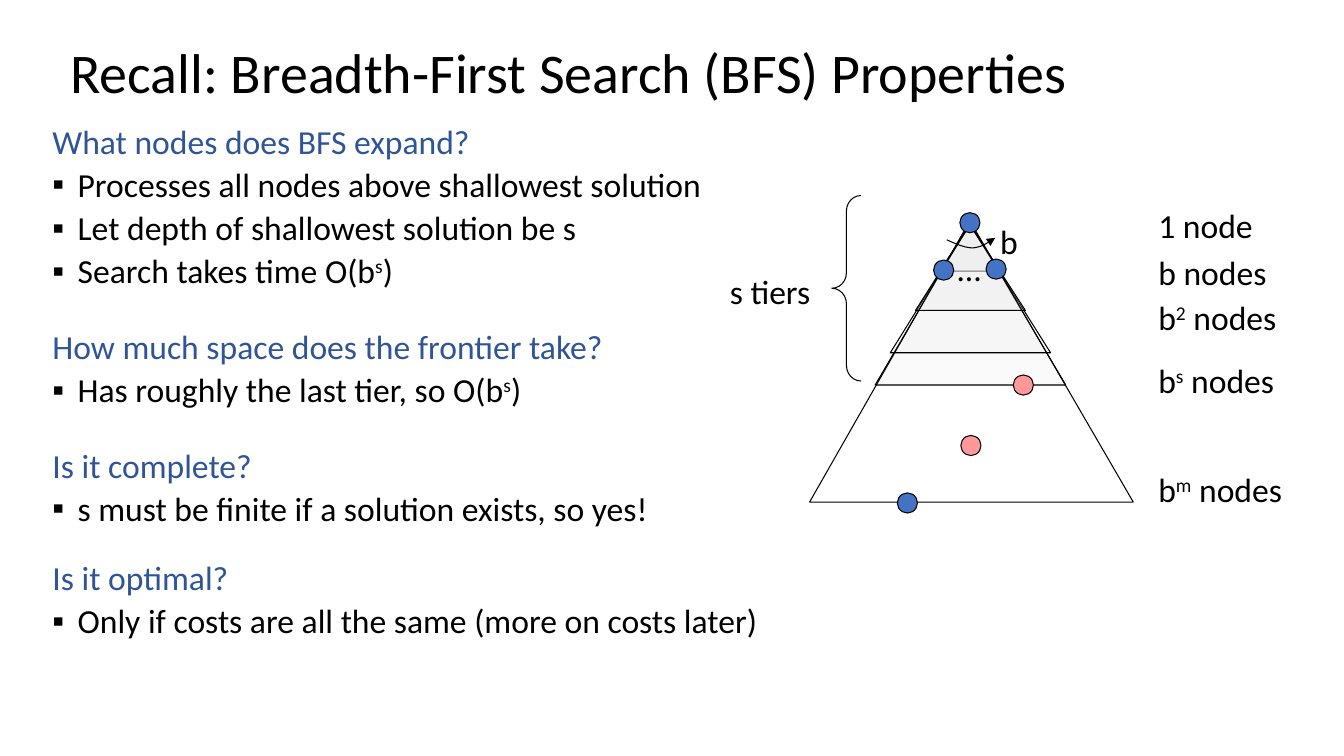
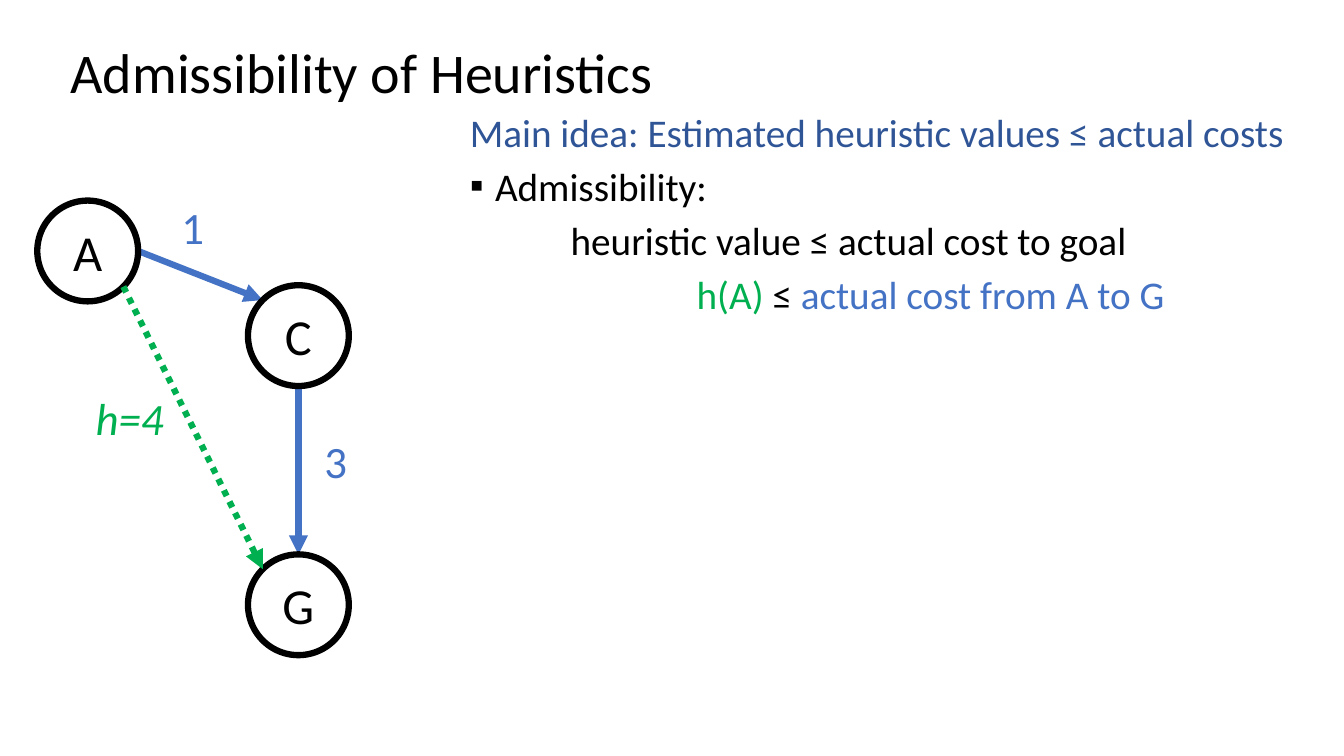
"""Build two lecture slides: breadth-first search properties and heuristic admissibility."""
import math

import pptx
import pptx.dml.color
import pptx.enum.dml
import pptx.enum.shapes
import pptx.enum.text
import pptx.oxml.xmlchemy
import pptx.util

Inches = pptx.util.Inches
SHAPES = pptx.enum.shapes.MSO_SHAPE
FONT = "Calibri"
BLACK, WHITE, GRAY = "000000", "FFFFFF", "E7E6E6"
HEADING, BLUE, GREEN, PINK = "2F5597", "4472C4", "00B050", "FF9999"

BFS_TITLE = "Recall: Breadth-First Search (BFS) Properties"
BFS_BODY = [
    dict(text="What nodes does BFS expand?", color=HEADING),
    dict(text="Processes all nodes above shallowest solution", bullet="▪"),
    dict(text="Let depth of shallowest solution be s", bullet="▪"),
    dict(text="Search takes time O(b^s^)", bullet="▪"),
    dict(text="How much space does the frontier take?", color=HEADING, before=28),
    dict(text="Has roughly the last tier, so O(b^s^)", bullet="▪"),
    dict(text="Is it complete?", color=HEADING, before=28),
    dict(text="s must be finite if a solution exists, so yes!", bullet="▪"),
    dict(text="Is it optimal?", color=HEADING, before=23.5),
    dict(text="Only if costs are all the same (more on costs later)", bullet="▪"),
]
APEX_X = 9.62
TIERS = [
    (9.32, 9.92, 2.23, 2.69, GRAY),
    (8.68, 10.57, 2.21, 3.82, GRAY),
    (8.83, 10.42, 2.23, 3.5, GRAY),
    (9.08, 10.17, 2.23, 3.08, GRAY),
    (8.03, 11.24, 2.19, 4.98, None),
]
TREE_NODES = [
    (9.52, 2.11, BLUE), (9.26, 2.58, BLUE), (9.78, 2.57, BLUE),
    (8.9, 4.89, BLUE), (10.05, 3.72, PINK), (9.53, 4.32, PINK),
]
BRANCH_ARC = [(9.39, 2.38), (9.48, 2.42), (9.57, 2.46), (9.65, 2.46),
              (9.73, 2.45), (9.8, 2.41), (9.87, 2.36)]
TIER_LABELS = [("1 node", 1.98), ("b nodes", 2.45), ("b^2^ nodes", 2.9),
               ("b^s^ nodes", 3.52), ("b^m^ nodes", 4.6)]
TREE_LABELS = [("…", 9.4, 2.41, 0.3), ("b", 9.82, 2.14, 0.33), ("s tiers", 7.14, 2.64, 1.1)]
TREE_LABELS += [(text, 11.39, top, 1.6) for text, top in TIER_LABELS]

HEURISTIC_TITLE = "Admissibility of Heuristics"
HEURISTIC_BODY = [
    dict(text="Main idea: Estimated heuristic values ≤ actual costs", color=HEADING),
    dict(text="Admissibility:", bullet="▪"),
    dict(text="heuristic value ≤ actual cost to goal", indent=1),
    dict(text=[("h(A) ", GREEN), ("≤ ", BLACK), ("actual cost from A to G", BLUE)], indent=2.25),
]
GRAPH_NODES = {"A": (0.37, 1.99), "C": (2.46, 2.83), "G": (2.46, 5.5)}
GRAPH_EDGES = [("A", 6, "C", 1, BLUE, False), ("C", 4, "G", 0, BLUE, False),
               ("A", 5, "G", 1, GREEN, True)]
GRAPH_LABELS = [("1", 1.7, 1.93, 0.5, BLUE, False), ("3", 3.12, 4.25, 0.5, BLUE, False),
                ("h=4", 0.85, 3.83, 1, GREEN, True)]


def rgb(color):
    return pptx.dml.color.RGBColor.from_string(color)


def add_child(parent, tag, **attributes):
    child = pptx.oxml.xmlchemy.OxmlElement(tag)
    for name, value in attributes.items():
        child.set(name, value)
    parent.append(child)
    return child


def write(paragraph, text, size=24, color=BLACK, italic=False):
    """Write text or (text, color) parts, with superscripts between carets."""
    parts = [(text, color)] if isinstance(text, str) else text
    for part, part_color in parts:
        for index, piece in enumerate(part.split("^")):
            run = paragraph.add_run()
            run.text = piece
            run.font.name = FONT
            run.font.size = pptx.util.Pt(size)
            run.font.italic = italic
            run.font.color.rgb = rgb(part_color)
            if index % 2:
                run._r.get_or_add_rPr().set("baseline", "30000")


def place(shape, left, top, width, height):
    shape.left, shape.top = Inches(left), Inches(top)
    shape.width, shape.height = Inches(width), Inches(height)


def add_slide(presentation, title, body, body_box, size, spacing):
    slide = presentation.slides.add_slide(presentation.slide_layouts[1])
    heading, content = slide.placeholders
    place(heading, 0.6, 0.4, 11.5, 0.69)
    place(content, *body_box)
    anchors = pptx.enum.text.MSO_ANCHOR
    for shape, anchor in ((heading, anchors.MIDDLE), (content, anchors.TOP)):
        shape.text_frame.word_wrap = True
        shape.text_frame.auto_size = pptx.enum.text.MSO_AUTO_SIZE.NONE
        shape.text_frame.vertical_anchor = anchor
    paragraph = heading.text_frame.paragraphs[0]
    paragraph.alignment = pptx.enum.text.PP_ALIGN.LEFT
    paragraph.line_spacing = 0.9
    write(paragraph, title, size=40)
    for index, item in enumerate(body):
        add_body_paragraph(content.text_frame, index, size, spacing, **item)
    return slide


def add_body_paragraph(frame, index, size, spacing, text, color=BLACK,
                       bullet=None, indent=0, before=5):
    paragraph = frame.add_paragraph() if index else frame.paragraphs[0]
    paragraph.level = 1 if bullet or indent else 0
    properties = paragraph._p.get_or_add_pPr()
    properties.set("marL", str(Inches(0.25 if bullet else indent)))
    properties.set("indent", str(Inches(-0.25 if bullet else 0)))
    if bullet:
        add_child(properties, "a:buChar", char=bullet)
    else:
        add_child(properties, "a:buNone")
    paragraph.line_spacing = spacing
    paragraph.space_before = pptx.util.Pt(before if index else 0)
    write(paragraph, text, size=size, color=color)


def add_label(slide, text, left, top, width, **text_format):
    box = slide.shapes.add_textbox(Inches(left), Inches(top), Inches(width), Inches(0.5))
    box.text_frame.word_wrap = True
    write(box.text_frame.paragraphs[0], text, **text_format)


def style_line(line, color=BLACK, weight=0.75, arrow=False, dotted=False):
    line.color.rgb = rgb(color)
    line.width = pptx.util.Pt(weight)
    if dotted:
        line.dash_style = pptx.enum.dml.MSO_LINE.ROUND_DOT
    if arrow:
        add_child(line._get_or_add_ln(), "a:tailEnd", type="triangle")


def style_shape(shape, fill=None, **line_format):
    shape.shadow.inherit = False
    if fill:
        shape.fill.solid()
        shape.fill.fore_color.rgb = rgb(fill)
    else:
        shape.fill.background()
    style_line(shape.line, **line_format)
    return shape


def add_preset(slide, kind, left, top, width, height, **style):
    box = [Inches(value) for value in (left, top, width, height)]
    return style_shape(slide.shapes.add_shape(kind, *box), **style)


def add_outline(slide, points, close, **style):
    points = [(Inches(x), Inches(y)) for x, y in points]
    builder = slide.shapes.build_freeform(*points[0], scale=1.0)
    builder.add_line_segments(points[1:], close=close)
    return style_shape(builder.convert_to_shape(), **style)


def add_curve(slide, points, **style):
    """Draw a cubic curve from a start point and groups of three control points."""
    curve = add_outline(slide, points, False, **style)
    segments = curve._element.xpath(".//a:lnTo")
    for start in range(0, len(segments), 3):
        group = segments[start:start + 3]
        bezier = add_child(group[0].getparent(), "a:cubicBezTo")
        for segment in group:
            bezier.append(segment[0])
            segment.getparent().remove(segment)


def add_search_tree(slide):
    for left, right, top, bottom, fill in TIERS:
        corners = [(APEX_X, top), (left, bottom), (right, bottom)]
        tier = add_outline(slide, corners, True, fill=fill)
        if fill:
            add_child(tier._element.xpath("./p:spPr/a:solidFill/a:srgbClr")[0],
                      "a:alpha", val="20000")
    for left, top, fill in TREE_NODES:
        add_preset(slide, SHAPES.OVAL, left, top, 0.2, 0.2, fill=fill)
    add_curve(slide, BRANCH_ARC, arrow=True)
    brace = add_preset(slide, SHAPES.LEFT_BRACE, 8.25, 1.94, 0.29, 1.84)
    brace.adjustments[0] = 0.53
    for label in TREE_LABELS:
        add_label(slide, *label)


def circle_site(name, site):
    """Return a point on a circle, counting eighths counterclockwise from the top."""
    left, top = GRAPH_NODES[name]
    angle = math.radians(90 + 45 * site)
    return Inches(left + 0.5 + 0.5 * math.cos(angle)), Inches(top + 0.5 - 0.5 * math.sin(angle))


def add_graph(slide):
    circles = {}
    for name, (left, top) in GRAPH_NODES.items():
        circle = add_preset(slide, SHAPES.OVAL, left, top, 1, 1, fill=WHITE, weight=4.5)
        circle.text_frame.vertical_anchor = pptx.enum.text.MSO_ANCHOR.MIDDLE
        paragraph = circle.text_frame.paragraphs[0]
        paragraph.alignment = pptx.enum.text.PP_ALIGN.CENTER
        write(paragraph, name, size=36)
        circles[name] = circle
    for source, source_site, target, target_site, color, dotted in GRAPH_EDGES:
        edge = slide.shapes.add_connector(
            pptx.enum.shapes.MSO_CONNECTOR.STRAIGHT,
            *circle_site(source, source_site), *circle_site(target, target_site))
        edge._connect_begin_to(circles[source], source_site)
        edge._connect_end_to(circles[target], target_site)
        style_line(edge.line, color=color, weight=4.5, arrow=True, dotted=dotted)
        add_child(edge._element.spPr, "a:effectLst")
        if not dotted:
            circles["A"]._element.addprevious(edge._element)
    for text, left, top, width, color, italic in GRAPH_LABELS:
        add_label(slide, text, left, top, width, size=32, color=color, italic=italic)


def main():
    presentation = pptx.Presentation()
    presentation.slide_width, presentation.slide_height = Inches(13.33), Inches(7.5)
    add_search_tree(add_slide(presentation, BFS_TITLE, BFS_BODY,
                              (0.42, 1.19, 7.65, 5.17), 24, 0.9))
    add_graph(add_slide(presentation, HEURISTIC_TITLE, HEURISTIC_BODY,
                        (4.56, 1.02, 8.69, 3.33), 28, 1.0))
    presentation.save("out.pptx")


if __name__ == "__main__":
    main()
